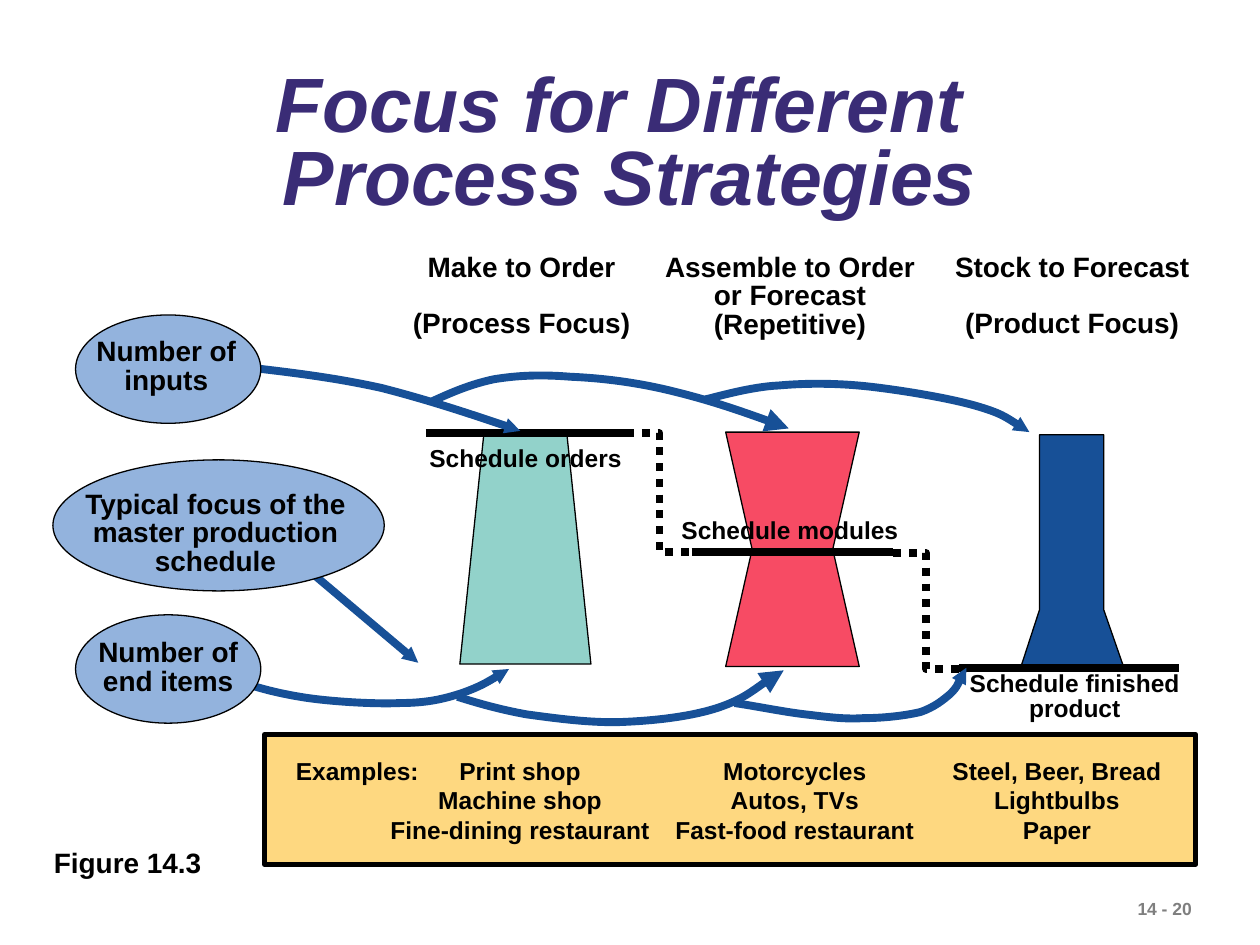
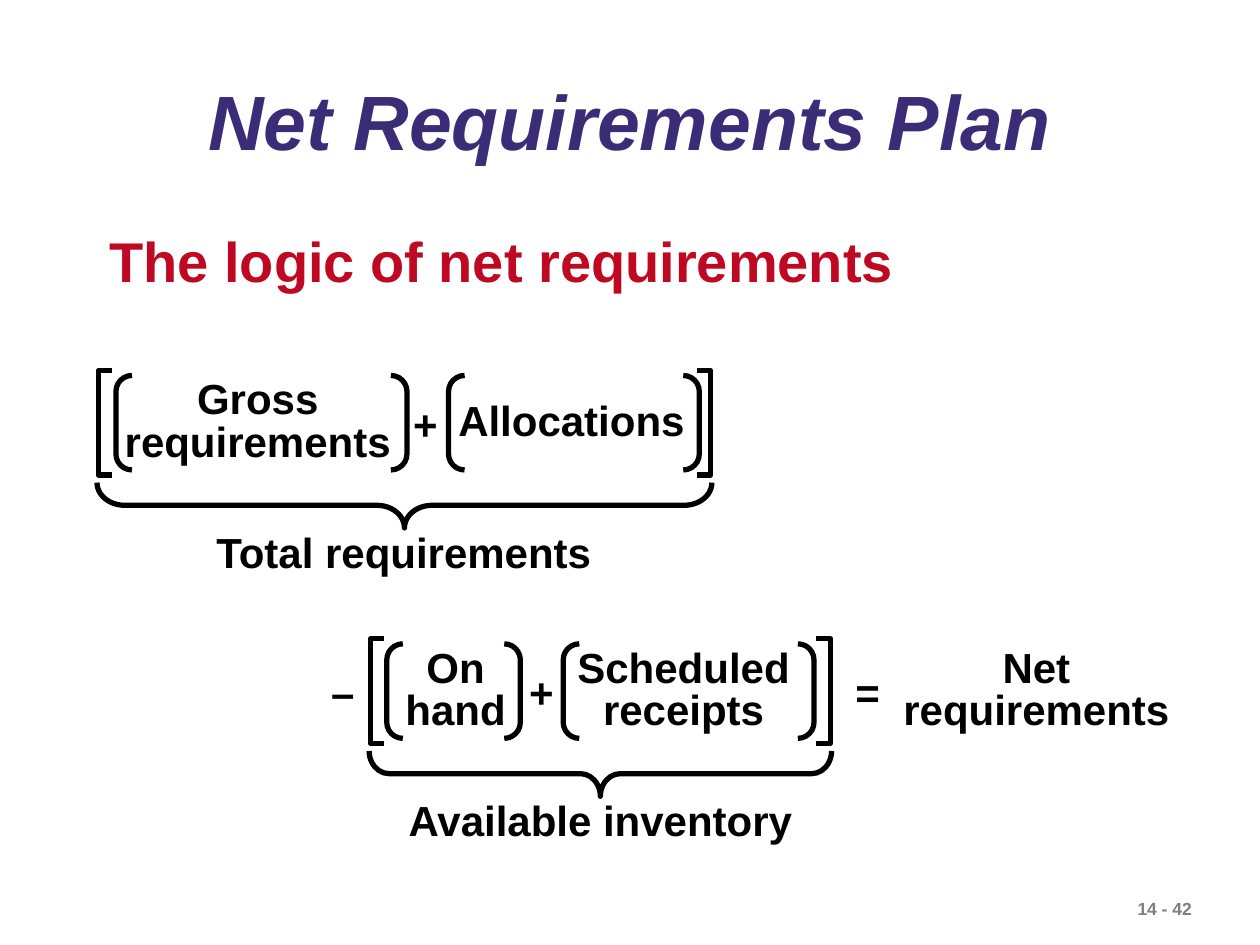
"""Builds two slides on process strategies and net requirements."""
import dataclasses
import typing

import lxml.etree
import pptx
import pptx.dml.color
import pptx.enum.dml
import pptx.enum.shapes
import pptx.enum.text
import pptx.oxml.ns
import pptx.util

Inches = pptx.util.Inches
Pt = pptx.util.Pt
Preset = pptx.enum.shapes.MSO_SHAPE
Align = pptx.enum.text.PP_ALIGN
qn = pptx.oxml.ns.qn
Point = tuple[float, float]
Frame = tuple[float, float, float, float]


@dataclasses.dataclass(frozen=True)
class Theme:
    font: str = "Arial"
    ink: str = "000000"
    title: str = "3A2C76"
    heading: str = "BF0922"
    footer: str = "7F7F7F"
    blue: str = "175097"
    red: str = "F74B64"
    teal: str = "92D2CA"
    bubble: str = "93B3DD"
    panel: str = "FED880"
    title_size: float = 44
    heading_size: float = 32
    formula_size: float = 24
    label_size: float = 16
    small_size: float = 14
    footer_size: float = 10
    hairline: float = 0.75
    rule: float = 3
    heavy: float = 4.5
    tight: float = 0.85


THEME = Theme()


@dataclasses.dataclass(frozen=True)
class Label:
    text: str
    frame: Frame
    size: float = THEME.label_size
    color: str = THEME.ink
    align: typing.Any = Align.CENTER
    spacing: float = THEME.tight
    wrap: bool = True
    gap: float = 0
    tabs: tuple[float, ...] = ()


@dataclasses.dataclass(frozen=True)
class Strategy:
    color: str
    outlines: tuple[tuple[Point, ...], ...]
    bar: tuple[Point, Point]
    header: Label
    caption: Label
    step: tuple[Point, Point] | None = None


@dataclasses.dataclass(frozen=True)
class Bubble:
    frame: Frame
    label: Label


@dataclasses.dataclass(frozen=True)
class Curve:
    points: tuple[Point, ...]
    head: str = "sm"


@dataclasses.dataclass(frozen=True)
class Term:
    text: str
    text_left: float
    text_width: float
    left: float
    width: float
    lines: int = 2


@dataclasses.dataclass(frozen=True)
class Formula:
    top: float
    left: float
    right: float
    brace_curve: float
    total: str
    total_left: float
    total_width: float
    plus_left: float
    terms: tuple[Term, Term]


STRATEGIES = (
    Strategy(
        THEME.blue,
        (((8.1, 5.3), (8.25, 4.84), (8.25, 3.45), (8.76, 3.45), (8.76, 4.84), (8.92, 5.3)),),
        ((7.61, 5.3), (9.36, 5.3)),
        Label("Stock to Forecast\n(Product Focus)", (7.46, 1.97, 2.1, 0.78), wrap=False, gap=16),
        Label("Schedule finished product", (7.54, 5.29, 1.98, 0.5), THEME.small_size),
        ((7.09, 4.39), (7.61, 5.31)),
    ),
    Strategy(
        THEME.red,
        (((5.76, 3.43), (6.82, 3.43), (6.61, 4.36), (5.97, 4.36)),
         ((5.76, 5.29), (6.82, 5.29), (6.61, 4.36), (5.97, 4.36))),
        ((5.49, 4.38), (7.09, 4.38)),
        Label("Assemble to Order or Forecast\n(Repetitive)", (5.14, 1.97, 2.26, 0.78)),
        Label("Schedule modules", (5.31, 4.04, 1.92, 0.34), THEME.small_size,
              align=Align.LEFT, spacing=1, wrap=False),
        ((4.97, 3.44), (5.5, 4.38)),
    ),
    Strategy(
        THEME.teal,
        (((3.65, 5.27), (4.69, 5.27), (4.5, 3.45), (3.84, 3.45)),),
        ((3.38, 3.44), (4.97, 3.44)),
        Label("Make to Order\n(Process Focus)", (3.14, 1.97, 2, 0.78), wrap=False, gap=16),
        Label("Schedule orders", (3.31, 3.47, 1.73, 0.34), THEME.small_size,
              align=Align.LEFT, spacing=1, wrap=False),
    ),
)

CURVES = (
    Curve(((3.42, 3.19), (3.57, 3.12), (3.73, 3.05), (3.92, 3.01), (4.1, 2.98), (4.29, 2.97),
           (4.53, 2.99), (4.76, 3), (5.03, 3.03), (5.32, 3.1), (5.61, 3.17), (5.94, 3.28),
           (6.26, 3.4)), "med"),
    Curve(((3.63, 5.53), (3.79, 5.58), (3.96, 5.63), (4.18, 5.67), (4.4, 5.7), (4.69, 5.74),
           (4.94, 5.73), (5.19, 5.72), (5.47, 5.69), (5.69, 5.62), (5.9, 5.55), (6.11, 5.38),
           (6.22, 5.32)), "med"),
    Curve(((5.6, 3.17), (5.69, 3.15), (5.96, 3.07), (6.18, 3.06), (6.4, 3.04), (6.65, 3.04),
           (6.91, 3.07), (7.17, 3.1), (7.53, 3.16), (7.74, 3.22), (7.95, 3.28), (8.06, 3.36),
           (8.17, 3.43))),
    Curve(((5.83, 5.58), (6.03, 5.61), (6.22, 5.65), (6.39, 5.67), (6.56, 5.69), (6.7, 5.71),
           (6.85, 5.7), (7.01, 5.7), (7.19, 5.68), (7.31, 5.65), (7.42, 5.61), (7.48, 5.56),
           (7.54, 5.51), (7.6, 5.45), (7.63, 5.37), (7.67, 5.3))),
    Curve(((2, 2.92), (2.34, 2.96), (2.67, 3), (3.03, 3.08), (3.38, 3.17), (3.75, 3.29),
           (4.13, 3.42))),
    Curve(((1.93, 5.42), (2.08, 5.47), (2.24, 5.51), (2.44, 5.54), (2.65, 5.57), (2.98, 5.59),
           (3.18, 5.58), (3.38, 5.58), (3.52, 5.55), (3.67, 5.5), (3.81, 5.45), (3.93, 5.38),
           (4.04, 5.31))),
)

BUBBLES = (
    Bubble((0.42, 3.65, 2.63, 1.04),
           Label("Typical focus of the master production schedule", (0.52, 3.85, 2.38, 0.78))),
    Bubble((0.6, 2.5, 1.47, 0.86), Label("Number of inputs", (0.58, 2.64, 1.48, 0.56))),
    Bubble((0.6, 4.88, 1.47, 0.86), Label("Number of end items", (0.57, 5.03, 1.53, 0.56))),
)

EXAMPLES = (
    "Examples:\tPrint shop\tMotorcycles\tSteel, Beer, Bread\n"
    "\tMachine shop\tAutos, TVs\tLightbulbs\n"
    "\tFine-dining restaurant\tFast-food restaurant\tPaper"
)

FORMULAS = (
    Formula(2.98, 0.78, 5.64, 0.61, "Total requirements", 1.61, 3.19, 3.18,
            (Term("Gross requirements", 0.77, 2.55, 0.92, 2.31),
             Term("Allocations", 3.44, 2.19, 3.56, 1.99, lines=1))),
    Formula(5.11, 2.94, 6.59, 0.44, "Available inventory", 3.14, 3.25, 4.1,
            (Term("On hand", 3.04, 1.15, 3.07, 1.06),
             Term("Scheduled receipts", 4.37, 2.11, 4.47, 1.99))),
)


def rgb(color: str) -> pptx.dml.color.RGBColor:
    return pptx.dml.color.RGBColor.from_string(color)


def add_label(page: typing.Any, label: Label, middle: bool = False, italic: bool = False) -> None:
    box = page.shapes.add_textbox(*map(Inches, label.frame))
    frame = box.text_frame
    frame.word_wrap = label.wrap
    if middle:
        frame.vertical_anchor = pptx.enum.text.MSO_ANCHOR.MIDDLE
    frame.text = label.text
    for index, para in enumerate(frame.paragraphs):
        para.alignment = label.align
        para.line_spacing = label.spacing
        if index and label.gap:
            para.space_before = Pt(label.gap)
        if label.tabs:
            stops = lxml.etree.SubElement(para._p.get_or_add_pPr(), qn("a:tabLst"))
            for stop in label.tabs:
                lxml.etree.SubElement(stops, qn("a:tab"), pos=str(Inches(stop)), algn="ctr")
        for span in para.runs:
            span.font.name = THEME.font
            span.font.size = Pt(label.size)
            span.font.bold = True
            span.font.italic = italic
            span.font.color.rgb = rgb(label.color)


def style(shape: typing.Any, width: float, fill: str | None = None,
          line: str = THEME.ink) -> typing.Any:
    shape.shadow.inherit = False
    if fill:
        shape.fill.solid()
        shape.fill.fore_color.rgb = rgb(fill)
    else:
        shape.fill.background()
    shape.line.color.rgb = rgb(line)
    shape.line.width = Pt(width)
    return shape


def add_preset(page: typing.Any, preset: typing.Any, frame: Frame, width: float,
               fill: str | None = None) -> typing.Any:
    return style(page.shapes.add_shape(preset, *map(Inches, frame)), width, fill)


def add_outline(page: typing.Any, points: typing.Sequence[Point], width: float,
                fill: str | None = None, line: str = THEME.ink) -> typing.Any:
    corners = [(Inches(x), Inches(y)) for x, y in points]
    builder = page.shapes.build_freeform(*corners[0], scale=1.0)
    builder.add_line_segments(corners[1:], close=fill is not None)
    return style(builder.convert_to_shape(), width, fill, line)


def add_arrowhead(shape: typing.Any, size: str) -> None:
    lxml.etree.SubElement(shape.line._get_or_add_ln(), qn("a:tailEnd"),
                          type="triangle", w=size, len=size)


def add_curve(page: typing.Any, curve: Curve) -> None:
    shape = add_outline(page, curve.points[::3], THEME.heavy, line=THEME.blue)
    for index, segment in enumerate(list(shape._element.iter(qn("a:lnTo")))):
        bend = lxml.etree.Element(qn("a:cubicBezTo"))
        for x, y in curve.points[3 * index + 1:3 * index + 4]:
            lxml.etree.SubElement(bend, qn("a:pt"), x=str(Inches(x) - shape.left),
                                  y=str(Inches(y) - shape.top))
        segment.getparent().replace(segment, bend)
    add_arrowhead(shape, curve.head)


def add_line(page: typing.Any, ends: tuple[Point, Point], color: str) -> typing.Any:
    (x1, y1), (x2, y2) = ends
    line = page.shapes.add_connector(pptx.enum.shapes.MSO_CONNECTOR.STRAIGHT,
                                     Inches(x1), Inches(y1), Inches(x2), Inches(y2))
    line.line.color.rgb = rgb(color)
    line.line.width = Pt(THEME.heavy)
    lxml.etree.SubElement(line._element.spPr, qn("a:effectLst"))
    return line


def add_page(deck: typing.Any, title: str, frame: Frame, spacing: float, number: int) -> typing.Any:
    page = deck.slides.add_slide(deck.slide_layouts[6])
    add_label(page, Label(f"14 - {number}", (8.93, 7.08, 1.14, 0.27), THEME.footer_size,
                          THEME.footer, Align.LEFT, 1))
    add_label(page, Label(title, frame, THEME.title_size, THEME.title, spacing=spacing),
              middle=True, italic=True)
    return page


def add_strategy(page: typing.Any, strategy: Strategy) -> None:
    for outline in strategy.outlines:
        add_outline(page, outline, THEME.hairline, strategy.color)
    add_line(page, strategy.bar, THEME.ink)
    if strategy.step:
        (x1, y1), (x2, y2) = strategy.step
        middle = (x1 + x2) / 2
        dots = add_outline(page, ((x1, y1), (middle, y1), (middle, y2), (x2, y2)), THEME.heavy)
        dots.line.dash_style = pptx.enum.dml.MSO_LINE.ROUND_DOT
    add_label(page, strategy.header)
    add_label(page, strategy.caption)


def add_formula(page: typing.Any, formula: Formula) -> None:
    top, left, right = formula.top, formula.left, formula.right
    for term in formula.terms:
        text_top = top - 0.01 if term.lines == 2 else top + 0.16
        add_label(page, Label(term.text, (term.text_left, text_top, term.text_width, 0.78),
                              THEME.formula_size, wrap=term.lines == 2))
        pair = add_preset(page, Preset.DOUBLE_BRACKET, (term.left, top, term.width, 0.75), THEME.rule)
        pair.adjustments[0] = 0.17
    add_sign(page, "+", formula.plus_left, top)
    for edge, tip in ((left, left + 0.11), (right, right - 0.11)):
        corners = ((tip, top - 0.04), (edge, top - 0.04), (edge, top + 0.79), (tip, top + 0.79))
        add_outline(page, corners, THEME.rule)
    span, depth = right - left + 0.02, 0.36
    brace_left = (left + right - depth) / 2
    brace_top = top + 1.03 - span / 2
    brace = add_preset(page, Preset.LEFT_BRACE, (brace_left, brace_top, depth, span), THEME.rule)
    brace.rotation = 270
    brace.adjustments[0] = formula.brace_curve
    add_label(page, Label(formula.total, (formula.total_left, top + 1.21, formula.total_width, 0.44),
                          THEME.formula_size))


def add_sign(page: typing.Any, sign: str, left: float, top: float) -> None:
    add_label(page, Label(sign, (left, top + 0.13, 0.39, 0.5), THEME.formula_size,
                          align=Align.LEFT, spacing=1, wrap=False))


def build_strategies(deck: typing.Any) -> None:
    page = add_page(deck, "Focus for Different \vProcess Strategies", (0.75, 0.42, 8.5, 1.49), 0.8, 20)
    for strategy in STRATEGIES:
        add_strategy(page, strategy)
    add_preset(page, Preset.RECTANGLE, (2.1, 5.83, 7.39, 1.03), THEME.rule, THEME.panel)
    add_label(page, Label(EXAMPLES, (2.25, 5.95, 7.07, 0.8), THEME.small_size, align=Align.LEFT,
                          spacing=1, wrap=False, tabs=(1.78, 3.96, 6.04)))
    for curve in CURVES:
        add_curve(page, curve)
    add_arrowhead(add_line(page, ((2.43, 4.51), (3.32, 5.26)), THEME.blue), "sm")
    for bubble in BUBBLES:
        add_preset(page, Preset.OVAL, bubble.frame, THEME.hairline, THEME.bubble)
        add_label(page, bubble.label)
    add_label(page, Label("Figure 14.3", (0.33, 6.66, 1.37, 0.37), align=Align.LEFT,
                          spacing=1, wrap=False))


def build_requirements(deck: typing.Any) -> None:
    page = add_page(deck, "Net Requirements Plan", (0.75, 0.53, 8.5, 0.94), 0.9, 42)
    add_label(page, Label("The logic of net requirements", (0.77, 1.75, 6.43, 0.64),
                          THEME.heading_size, THEME.heading, Align.LEFT, 1, wrap=False))
    for formula in FORMULAS:
        add_formula(page, formula)
    top = FORMULAS[1].top
    for sign, left in (("–", 2.53), ("=", 6.69)):
        add_sign(page, sign, left, top)
    add_label(page, Label("Net requirements", (6.93, top - 0.01, 2.59, 0.78), THEME.formula_size))


def main() -> None:
    deck = pptx.Presentation()
    deck.slide_width, deck.slide_height = Inches(10), Inches(7.5)
    build_strategies(deck)
    build_requirements(deck)
    deck.save("out.pptx")


if __name__ == "__main__":
    main()
